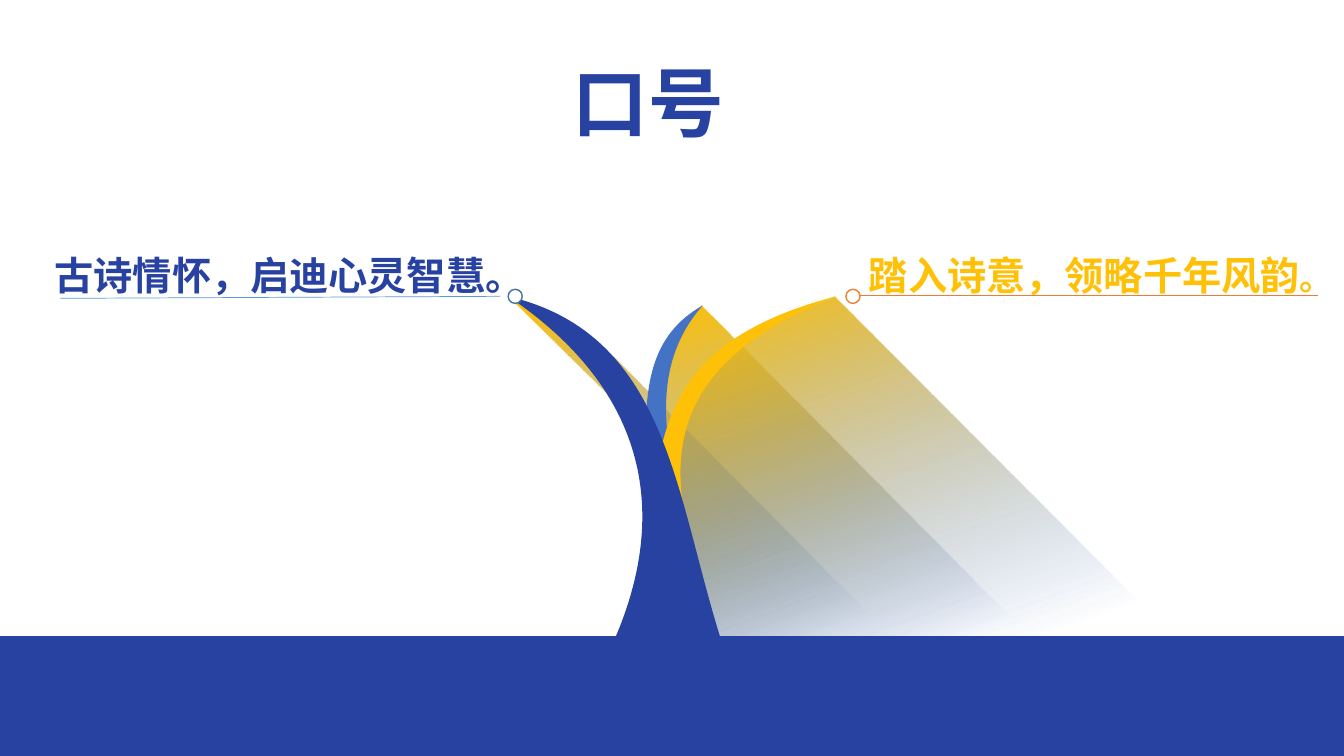
"""Build the slogan slide with three leaves, their long shadows and two labels."""
import pptx
import pptx.util
import pptx.oxml
import pptx.oxml.ns
import pptx.dml.color
import pptx.enum.shapes
import pptx.enum.text
import lxml.etree

Inches = pptx.util.Inches
Pt = pptx.util.Pt
RGB = pptx.dml.color.RGBColor
SHAPE = pptx.enum.shapes.MSO_SHAPE
ALIGN = pptx.enum.text.PP_ALIGN
qn = pptx.oxml.ns.qn

NAVY = RGB(0x28, 0x42, 0xA2)
BLUE = RGB(0x44, 0x72, 0xC4)
GOLD = RGB(0xFF, 0xC1, 0x07)
WHITE = RGB(0xFF, 0xFF, 0xFF)
STEEL = RGB(0x43, 0x73, 0x9E)
SKY = RGB(0x5B, 0x9B, 0xD5)
ORANGE = RGB(0xED, 0x7D, 0x31)
FONT = "Noto Sans CJK SC"
FADE = f"""<a:gradFill {pptx.oxml.ns.nsdecls('a')} rotWithShape="1"><a:gsLst>
<a:gs pos="0"><a:srgbClr val="FFC000"/></a:gs>
<a:gs pos="69000"><a:srgbClr val="{BLUE}"><a:alpha val="0"/></a:srgbClr></a:gs>
</a:gsLst><a:lin ang="4200000" scaled="0"/></a:gradFill>"""

deck = pptx.Presentation()
deck.slide_width, deck.slide_height = Inches(13.33), Inches(7.5)
slide = deck.slides.add_slide(deck.slide_layouts[6])
shapes = slide.shapes


def outline(start, *parts):
    """Draw a closed outline; a part is a point (x, y) or a six-number curve."""
    pen = shapes.build_freeform(Inches(start[0]), Inches(start[1]))
    pen.add_line_segments([(Inches(p[-2]), Inches(p[-1])) for p in parts], close=True)
    form = pen.convert_to_shape()
    form.shadow.inherit = False
    form.line.fill.background()
    edges = list(form._element.iter(qn("a:lnTo")))
    for edge, part in zip(edges, parts):
        if len(part) == 6:
            curve = lxml.etree.Element(qn("a:cubicBezTo"))
            for x, y in zip(part[::2], part[1::2]):
                lxml.etree.SubElement(curve, qn("a:pt"), x=str(Inches(x) - form.left),
                                      y=str(Inches(y) - form.top))
            edge.getparent().replace(edge, curve)
    return form


def label(left, top, width, height, words, color, align):
    """Add a bold text box; words are (text, size) pairs."""
    box = shapes.add_textbox(Inches(left), Inches(top), Inches(width), Inches(height))
    frame = box.text_frame
    frame.word_wrap = False
    para = frame.paragraphs[0]
    para.alignment = align
    for text, size in words:
        run = para.add_run()
        run.text = text
        font = run.font
        font.size, font.bold, font.name = Pt(size), True, FONT
        font.color.rgb = color
        lxml.etree.SubElement(run._r.get_or_add_rPr(), qn("a:ea"), typeface=FONT)
    return para


shades = [
    [(6.66, 7.51), (6.66, 6.54, 6.65, 5.57, 6.65, 4.6), (6.85, 3.88), (7.2, 3.44),
     (7.6, 3.22), (7.7, 3.18, 7.78, 3.14, 7.9, 3.1),
     (8.01, 3.05, 8.15, 2.99, 8.28, 2.94), (12.84, 7.51)],
    [(6.6, 6.28), (6.52, 3.9), (6.72, 3.32), (6.96, 3.03), (11.45, 7.56), (6.67, 7.54)],
    [(5.06, 2.96), (6.34, 4.22), (6.99, 4.87, 6.9, 6.88, 7.55, 7.53), (9.63, 7.53),
     (10.05, 7.53), (6.08, 3.53), (5.42, 3.1)],
]
for shade in shades:
    form = outline(*shade)
    form.fill.background()
    props = form._element.spPr
    props.replace(props.find(qn("a:noFill")), pptx.oxml.parse_xml(FADE))

title = label(5.58, 0.61, 2.08, 0.67, [("口号", 54)], NAVY, ALIGN.LEFT)
title.line_spacing = 0.9

leaves = [
    (BLUE, [(7.12, 6.3), (6.87, 5.18, 6.19, 3.91, 6.97, 3.03),
            (5.93, 3.62, 6.78, 5, 6.12, 6.31)]),
    (GOLD, [(7.13, 6.32), (6.83, 5.23, 6.04, 3.82, 8.29, 2.94),
            (5.93, 3.56, 6.8, 5, 6.14, 6.31)]),
    (NAVY, [(6.11, 6.31), (6.65, 5.03, 6.38, 3.84, 5.04, 2.94),
            (6.61, 3.31, 6.69, 4.87, 7.14, 6.31)]),
]
for color, leaf in leaves:
    form = outline(*leaf)
    form.fill.solid()
    form.fill.fore_color.rgb = color

label(0.43, 2.44, 4.87, 0.57, [("古诗情怀，启迪心灵智慧。", 28)], NAVY, ALIGN.RIGHT)
label(8.52, 2.44, 4.81, 0.57, [("踏入诗意，领略千年风韵", 28), ("。", 24)], GOLD, ALIGN.LEFT)

marks = [(5.04, STEEL, SKY, (4.96, 2.94, 0.6, 2.96)),
         (8.39, ORANGE, ORANGE, (13.07, 2.93, 8.53, 2.93))]
for left, rim, ink, ends in marks:
    ring = shapes.add_shape(SHAPE.OVAL, Inches(left), Inches(2.87), Inches(0.14), Inches(0.14))
    ring.shadow.inherit = False
    ring.fill.solid()
    ring.fill.fore_color.rgb = WHITE
    ring.line.color.rgb = rim
    ring.line.width = Pt(1)
    rule = shapes.add_connector(pptx.enum.shapes.MSO_CONNECTOR.STRAIGHT, *map(Inches, ends))
    rule.line.color.rgb = ink
    rule.line.width = Pt(0.5)
    lxml.etree.SubElement(rule._element.spPr, qn("a:effectLst"))

ground = shapes.add_shape(SHAPE.RECTANGLE, 0, Inches(6.31), Inches(13.33), Inches(1.19))
ground.shadow.inherit = False
ground.fill.solid()
ground.fill.fore_color.rgb = NAVY
ground.line.fill.background()

deck.save("out.pptx")
